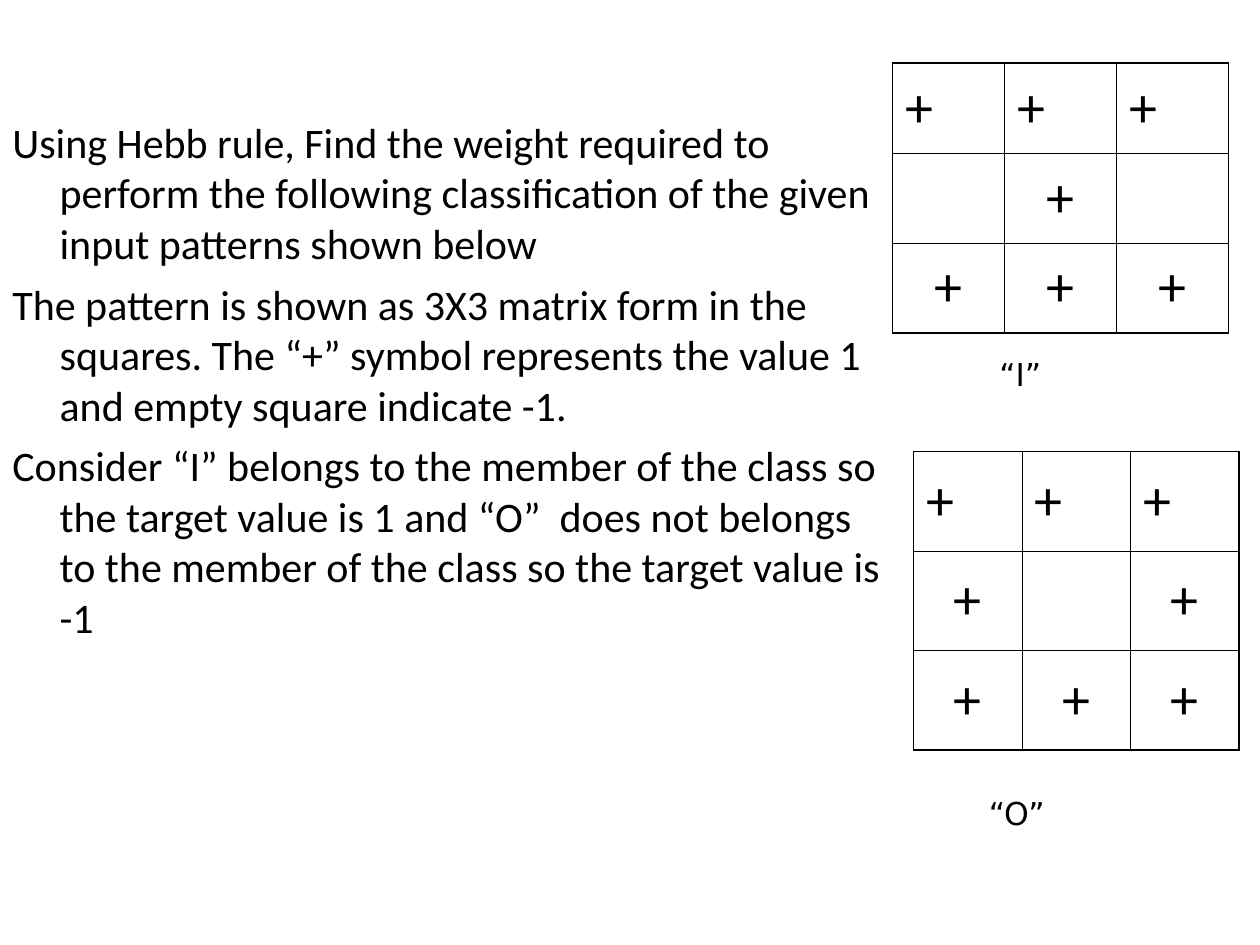
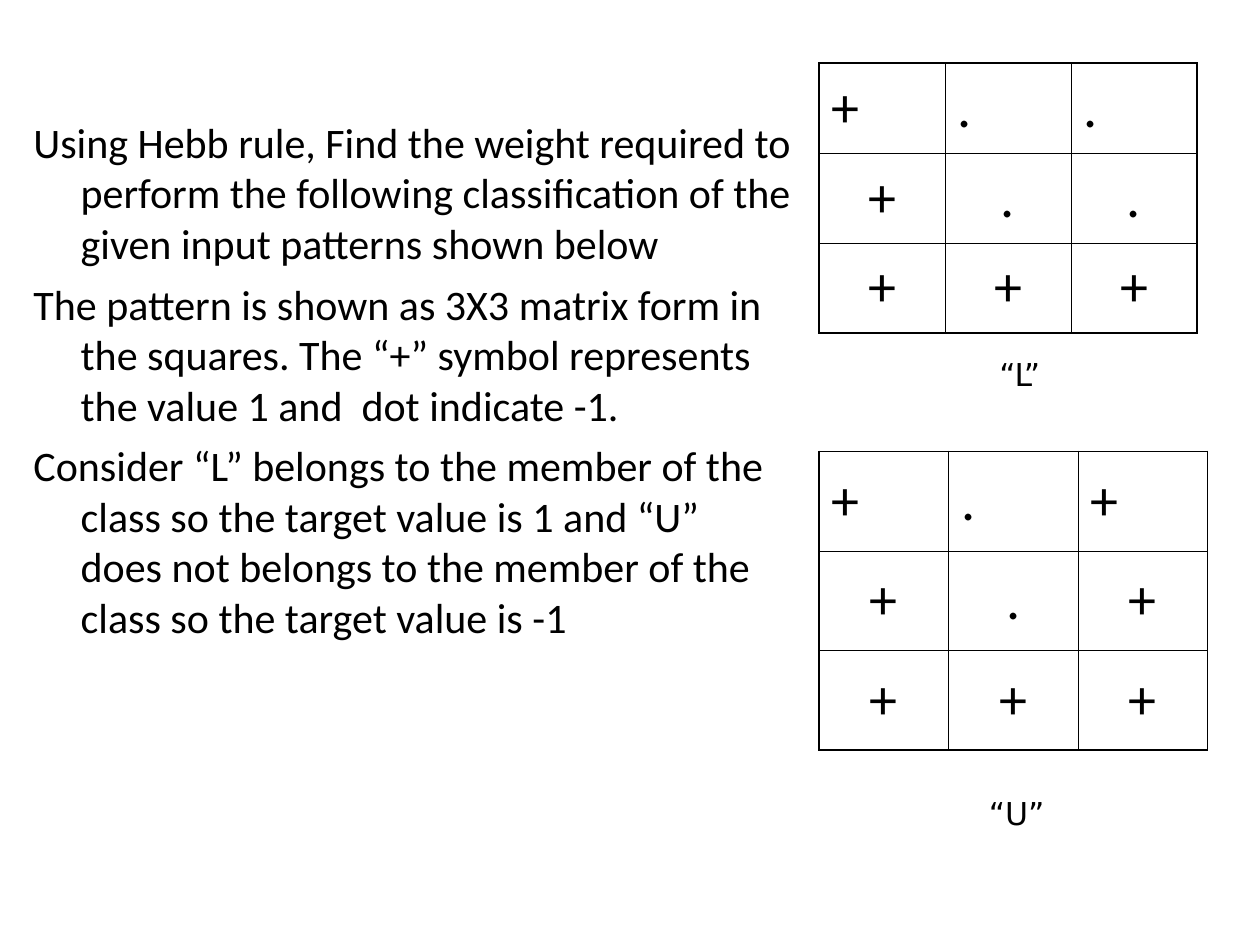
from dataclasses import dataclass

from lxml import etree
from pptx import Presentation
from pptx.dml.color import RGBColor
from pptx.enum import text
from pptx.oxml import ns
from pptx.util import Pt


@dataclass(frozen=True)
class Theme:
    ink: str = "000000"
    body_font: str = "Calibri"
    caption_font: str = "DejaVu Sans"
    body_size: float = 24
    mark_size: float = 32
    caption_size: float = 18
    hanging: float = 27
    paragraph_gap: float = 6
    outer_line: float = 1.08
    inner_line: float = 0.45


class Deck:
    def __init__(self, theme):
        self.theme = theme
        self.prs = Presentation()
        self.prs.slide_width, self.prs.slide_height = Pt(720), Pt(540)
        self.slide = None

    def new_slide(self):
        self.slide = self.prs.slides.add_slide(self.prs.slide_layouts[6])

    def style(self, paragraph, font, size):
        for run in paragraph.runs:
            run.font.name = font
            run.font.size = Pt(size)
            run.font.color.rgb = RGBColor.from_string(self.theme.ink)

    def text_frame(self, left, top, width, height):
        box = self.slide.shapes.add_textbox(Pt(left), Pt(top), Pt(width), Pt(height))
        box.text_frame.word_wrap = True
        return box.text_frame

    def problem(self, area, statements):
        frame = self.text_frame(*area)
        frame.text = "\n".join(statements)
        for index, paragraph in enumerate(frame.paragraphs):
            properties = paragraph._p.get_or_add_pPr()
            properties.set("marL", str(Pt(self.theme.hanging)))
            properties.set("indent", str(-Pt(self.theme.hanging)))
            if index:
                paragraph.space_before = Pt(self.theme.paragraph_gap)
            self.style(paragraph, self.theme.body_font, self.theme.body_size)

    def caption(self, left, top, letter):
        frame = self.text_frame(left, top, 114, 28.8)
        frame.text = f"“{letter}”"
        frame.auto_size = text.MSO_AUTO_SIZE.SHAPE_TO_FIT_TEXT
        self.style(frame.paragraphs[0], self.theme.caption_font, self.theme.caption_size)

    def border(self, cell, side, width):
        properties = cell._tc.get_or_add_tcPr()
        line = etree.SubElement(properties, ns.qn(f"a:ln{side}"), w=str(Pt(width)))
        fill = etree.SubElement(line, ns.qn("a:solidFill"))
        etree.SubElement(fill, ns.qn("a:srgbClr"), val=self.theme.ink)

    def pattern(self, left, top, column_width, row_height, marks):
        size = len(marks)
        grid = self.slide.shapes.add_table(
            size, size, Pt(left), Pt(top), Pt(column_width * size), Pt(row_height * size)
        ).table
        grid.first_row = grid.horz_banding = False
        for r, row in enumerate(marks):
            for c, mark in enumerate(row):
                cell = grid.cell(r, c)
                edges = {"L": c == 0, "R": c == size - 1, "T": r == 0, "B": r == size - 1}
                for side, is_outer in edges.items():
                    self.border(cell, side, self.theme.outer_line if is_outer else self.theme.inner_line)
                cell.fill.background()
                cell.vertical_anchor = text.MSO_ANCHOR.MIDDLE
                cell.text = mark.strip()
                paragraph = cell.text_frame.paragraphs[0]
                paragraph.alignment = text.PP_ALIGN.CENTER if r else text.PP_ALIGN.LEFT
                self.style(paragraph, self.theme.body_font, self.theme.mark_size)

    def exercise(self, area, minus_one, member, outsider):
        self.new_slide()
        self.problem(area, [
            "Using Hebb rule, Find the weight required to perform the following "
            "classification of the given input patterns shown below",
            "The pattern is shown as 3X3 matrix form in the squares. "
            f"The “+” symbol represents the value 1 and {minus_one} indicate -1.",
            f"Consider “{member['letter']}” belongs to the member of the class so the target "
            f"value is 1 and “{outsider['letter']}”  does not belongs to the member of the "
            "class so the target value is -1",
        ])
        self.pattern(member["left"], 36, member["column"], 51.4, member["marks"])
        self.pattern(outsider["left"], 258, outsider["column"], 56.9, outsider["marks"])
        self.caption(564, 199.5, member["letter"])
        self.caption(558, 450, outsider["letter"])


def main():
    deck = Deck(Theme())
    deck.exercise(
        (0, 63, 510, 422.5),
        "empty square",
        dict(letter="I", left=510, column=64, marks=["+++", " + ", "+++"]),
        dict(letter="O", left=522, column=62, marks=["+++", "+ +", "+++"]),
    )
    deck.exercise(
        (12, 63, 450, 356.5),
        " dot",
        dict(letter="L", left=468, column=72, marks=["+..", "+..", "+++"]),
        dict(letter="U", left=468, column=74, marks=["+.+", "+.+", "+++"]),
    )
    deck.prs.save("out.pptx")


if __name__ == "__main__":
    main()
